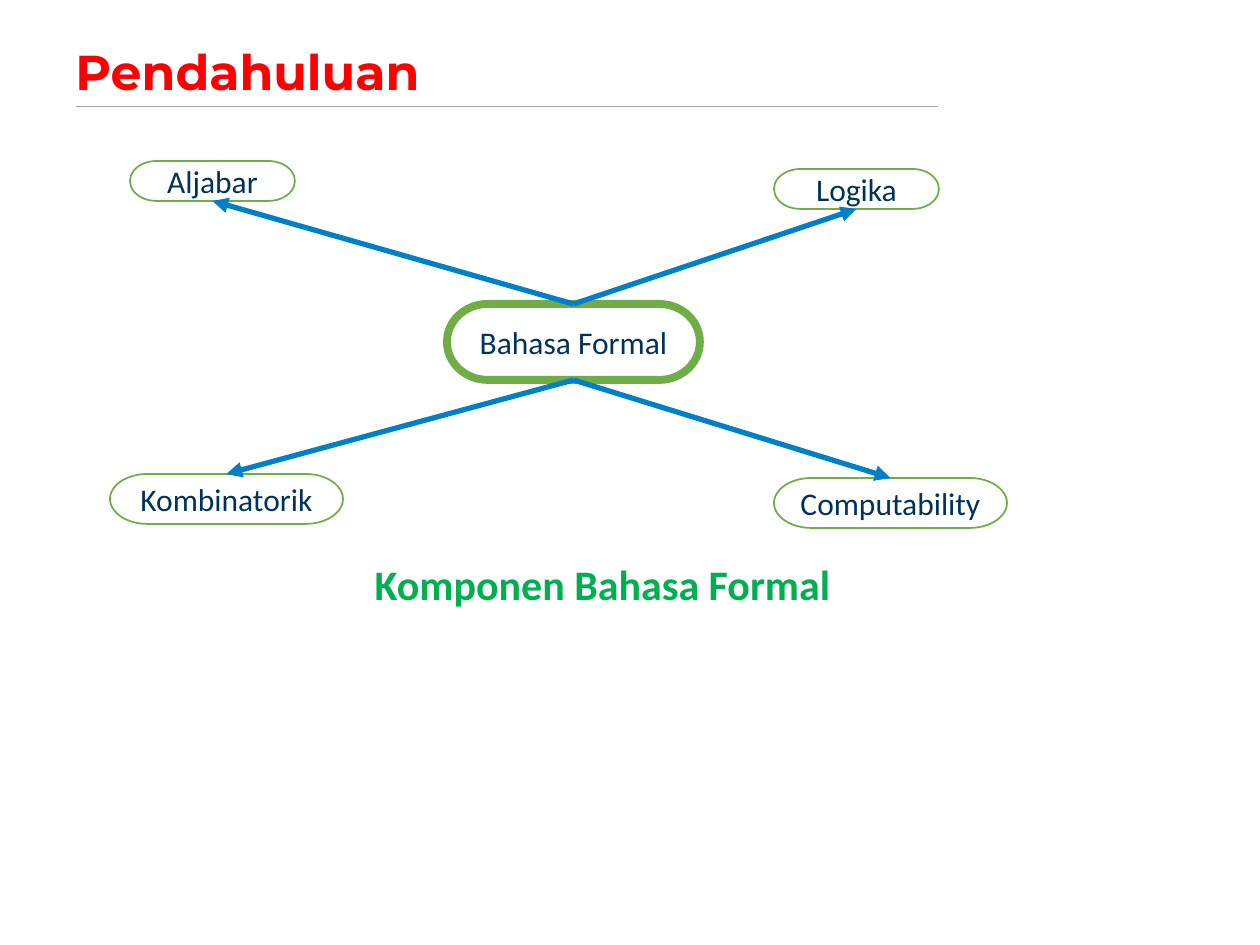
import dataclasses

import pptx
import pptx.dml.color
import pptx.enum.shapes
import pptx.enum.text
import pptx.oxml.ns
import pptx.util
from lxml import etree

PX = 914400 / 126
TOP, BOTTOM = 0, 2
INK = {
    "title": "FF0000",
    "rule": "A6A6A6",
    "fill": "FFFFFF",
    "edge": "70AD47",
    "text": "00325A",
    "arrow": "0080C6",
    "caption": "00B050",
}


@dataclasses.dataclass
class Node:
    name: str
    x: int
    y: int
    w: int
    h: int
    edge: float = 1
    site: int = TOP


HUB = Node("Bahasa Formal", 447, 304, 253, 76, edge=4.5)
NODES = [
    Node("Aljabar", 130, 161, 165, 40, site=BOTTOM),
    Node("Logika", 774, 169, 165, 40, site=BOTTOM),
    Node("Kombinatorik", 110, 474, 233, 50),
    Node("Computability", 774, 478, 233, 50),
]


def emu(*vals: int) -> list[int]:
    return [round(val * PX) for val in vals]


def color(key: str) -> pptx.dml.color.RGBColor:
    return pptx.dml.color.RGBColor.from_string(INK[key])


def write(shape, text: str, size: int, ink: str, font: str = "Calibri",
          bold: bool = False, center: bool = True) -> None:
    frame = shape.text_frame
    frame.text = text
    frame.word_wrap = False
    frame.vertical_anchor = pptx.enum.text.MSO_ANCHOR.MIDDLE
    par = frame.paragraphs[0]
    align = pptx.enum.text.PP_ALIGN
    par.alignment = align.CENTER if center else align.LEFT
    style = par.runs[0].font
    style.name = font
    style.size = pptx.util.Pt(size)
    style.bold = bold
    style.color.rgb = color(ink)


def add_line(slide, ends: tuple[int, int, int, int], ink: str, width: float):
    kind = pptx.enum.shapes.MSO_CONNECTOR.STRAIGHT
    line = slide.shapes.add_connector(kind, *emu(*ends))
    line.line.color.rgb = color(ink)
    line.line.width = pptx.util.Pt(width)
    props = line._element.spPr
    etree.SubElement(props, pptx.oxml.ns.qn("a:effectLst"))
    return line


def add_node(slide, node: Node):
    kind = pptx.enum.shapes.MSO_SHAPE.FLOWCHART_TERMINATOR
    shape = slide.shapes.add_shape(kind, *emu(node.x, node.y, node.w, node.h))
    shape.shadow.inherit = False
    shape.fill.solid()
    shape.fill.fore_color.rgb = color("fill")
    shape.line.color.rgb = color("edge")
    shape.line.width = pptx.util.Pt(node.edge)
    write(shape, node.name, 18, "text")
    return shape


def add_arrow(slide, start, end, site: int) -> None:
    arrow = add_line(slide, (0, 0, 0, 0), "arrow", 3)
    arrow.begin_connect(start, BOTTOM if site == TOP else TOP)
    arrow.end_connect(end, site)
    stroke = arrow.line._get_or_add_ln()
    etree.SubElement(stroke, pptx.oxml.ns.qn("a:tailEnd"), type="triangle")


def add_title(slide) -> None:
    add_line(slide, (76, 106, 938, 106), "rule", 0.5)
    box = slide.shapes.add_textbox(*emu(63, 44, 876, 62))
    write(box, "Pendahuluan", 28, "title", "Montserrat", bold=True, center=False)
    box.text_frame.word_wrap = True
    box.text_frame.paragraphs[0].line_spacing = 0.9


def add_caption(slide) -> None:
    kind = pptx.enum.shapes.MSO_SHAPE.RECTANGLE
    shape = slide.shapes.add_shape(kind, *emu(316, 547, 573, 73))
    shape.shadow.inherit = False
    shape.fill.solid()
    shape.fill.fore_color.rgb = color("fill")
    shape.line.fill.background()
    write(shape, "Komponen Bahasa Formal", 24, "caption", bold=True)


def main() -> None:
    deck = pptx.Presentation()
    deck.slide_width, deck.slide_height = emu(1260, 945)
    slide = deck.slides.add_slide(deck.slide_layouts[6])
    add_title(slide)
    hub = add_node(slide, HUB)
    leaves = [add_node(slide, node) for node in NODES]
    for node, leaf in zip(NODES, leaves):
        add_arrow(slide, hub, leaf, node.site)
    add_caption(slide)
    deck.save("out.pptx")


if __name__ == "__main__":
    main()
